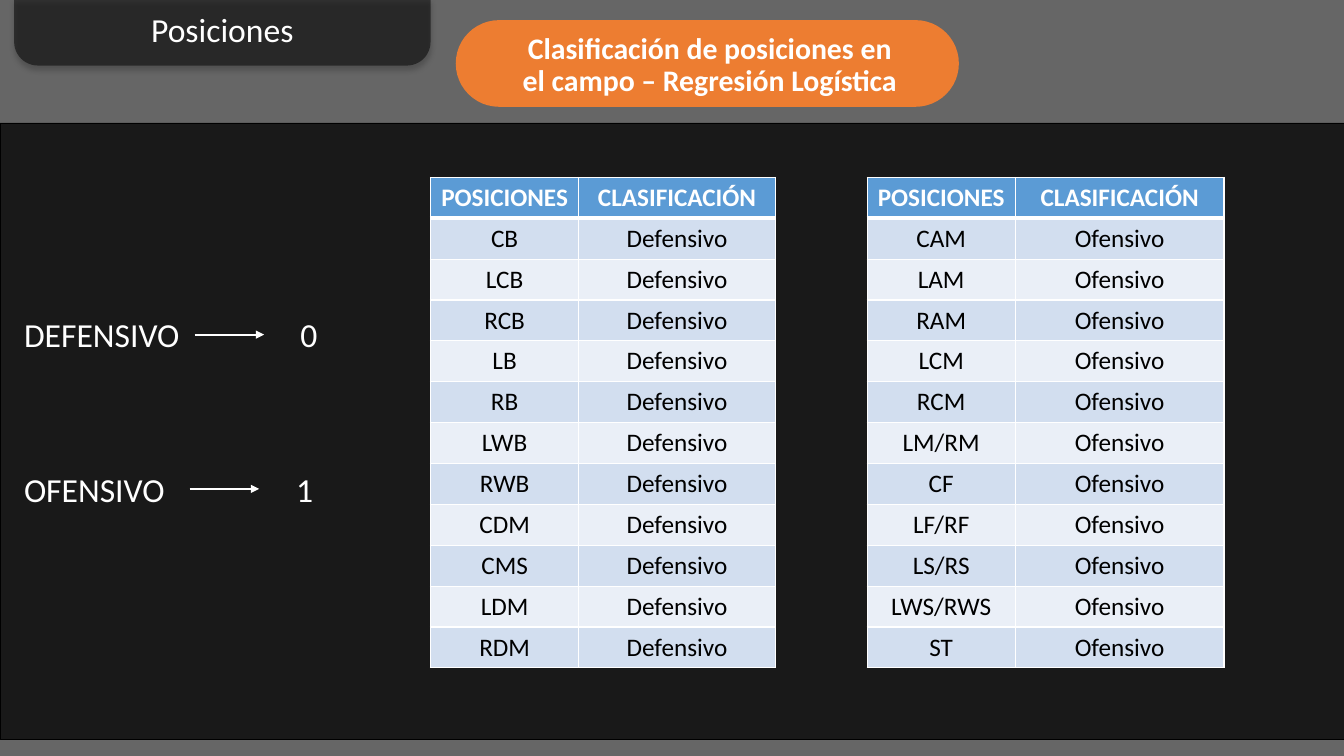
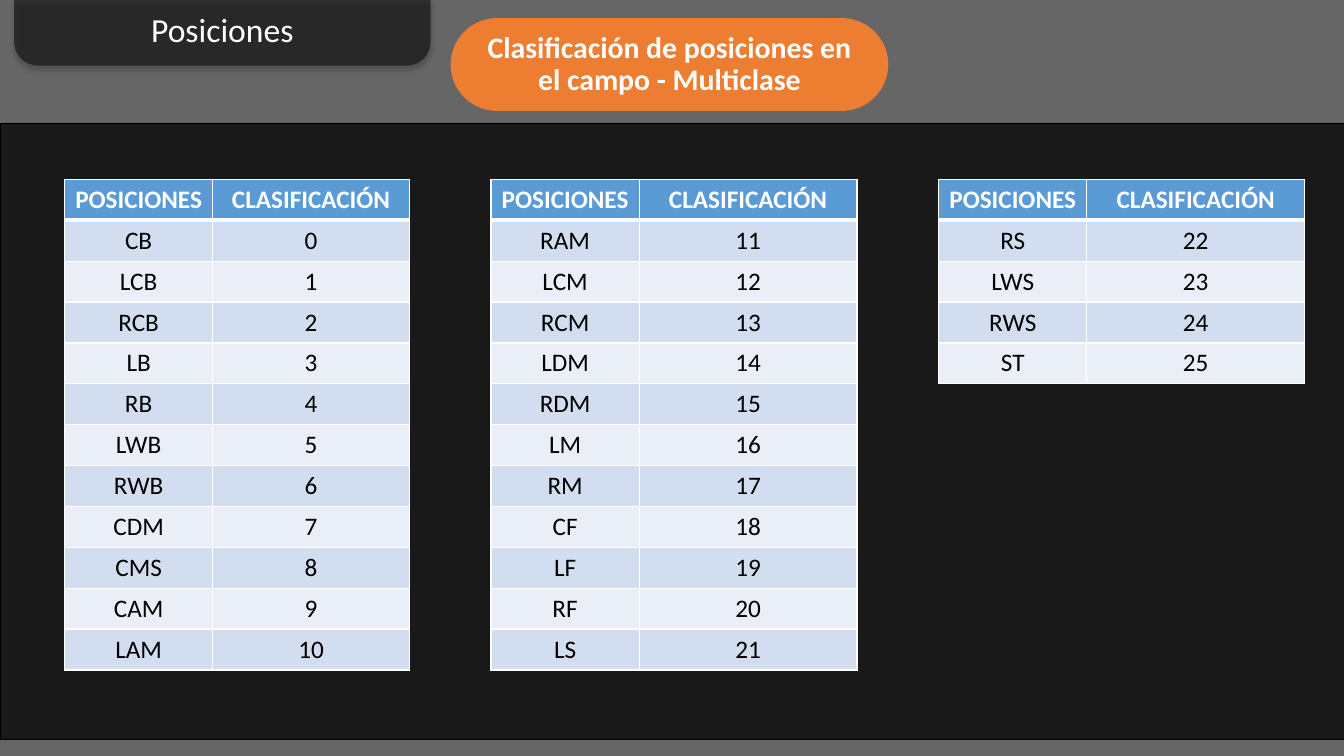
from dataclasses import dataclass

from lxml.etree import SubElement
from pptx import Presentation
from pptx.dml.color import RGBColor
from pptx.enum.shapes import MSO_CONNECTOR, MSO_SHAPE
from pptx.enum.text import MSO_ANCHOR, MSO_AUTO_SIZE, PP_ALIGN
from pptx.oxml.ns import qn
from pptx.util import Inches, Pt

FONT = "Calibri"
WHITE, BLACK, ORANGE = "FFFFFF", "000000", "ED7D31"
HEADER_FILL, BAND_FILLS = "5B9BD5", ("D2DEEF", "EAEFF7")
HEADINGS = ("POSICIONES", "CLASIFICACIÓN")
SLIDE_WIDTH, SLIDE_HEIGHT = 13.33, 7.5
ROW_HEIGHT = 4.87 / 12
POSITION_WIDTH = 1.47


@dataclass(frozen=True)
class Area:
    left: float
    top: float
    width: float
    height: float

    def lengths(self) -> tuple:
        return tuple(Inches(n) for n in (self.left, self.top, self.width, self.height))


@dataclass(frozen=True)
class Heading:
    text: str
    pill: Area
    text_area: Area


@dataclass(frozen=True)
class PositionTable:
    left: float
    class_width: float
    rows: list[tuple[str, str]]


@dataclass(frozen=True)
class Code:
    """A class label, an arrow and the number that stands for the class."""
    label: str
    value: str
    top: float
    label_width: float
    arrow_left: float
    value_left: float


def color(value: str) -> RGBColor:
    return RGBColor.from_string(value)


def write(frame, text: str, *, size: float, fill: str = WHITE, bold: bool = False,
          align: PP_ALIGN = PP_ALIGN.LEFT, spacing: float = 1.0) -> None:
    para = frame.paragraphs[0]
    para.alignment = align
    para.line_spacing = spacing
    span = para.add_run()
    span.text = text
    span.font.name = FONT
    span.font.size = Pt(size)
    span.font.bold = bold
    span.font.color.rgb = color(fill)


def add_text(page, area: Area, text: str, *, wrap: bool = True, **style) -> None:
    frame = page.shapes.add_textbox(*area.lengths()).text_frame
    frame.word_wrap = wrap
    frame.auto_size = MSO_AUTO_SIZE.SHAPE_TO_FIT_TEXT
    write(frame, text, **style)


def add_block(page, kind: MSO_SHAPE, area: Area, fill: str, *, opacity: int = 100,
              line: str | None = None):
    shape = page.shapes.add_shape(kind, *area.lengths())
    shape.shadow.inherit = False
    shape.fill.solid()
    shape.fill.fore_color.rgb = color(fill)
    if opacity < 100:
        tint = shape.element.spPr.find(f"{qn('a:solidFill')}/{qn('a:srgbClr')}")
        SubElement(tint, qn("a:alpha"), val=str(opacity * 1000))
    if line:
        shape.line.color.rgb = color(line)
        shape.line.width = Pt(0.5)
    else:
        shape.line.fill.background()
    return shape


def add_drop_shadow(shape) -> None:
    effects = shape.element.spPr.find(qn("a:effectLst"))
    shadow = SubElement(effects, qn("a:outerShdw"), blurRad=str(Pt(4)), dist=str(Pt(3)),
                        dir="5400000", algn="t", rotWithShape="0")
    tint = SubElement(shadow, qn("a:srgbClr"), val=BLACK)
    SubElement(tint, qn("a:alpha"), val="40000")


def add_arrow(page, left: float, right: float, y: float) -> None:
    arrow = page.shapes.add_connector(
        MSO_CONNECTOR.STRAIGHT, Inches(left), Inches(y), Inches(right), Inches(y))
    arrow.line.color.rgb = color(WHITE)
    arrow.line.width = Pt(1.5)
    SubElement(arrow.line._get_or_add_ln(), qn("a:tailEnd"), type="triangle")
    SubElement(arrow.element.spPr, qn("a:effectLst"))


def set_borders(cell, **widths: float) -> None:
    """Draw white cell borders; each side is 1 point unless a width is given."""
    properties = cell._tc.get_or_add_tcPr()
    for side in ("L", "R", "T", "B"):
        line = SubElement(properties, qn(f"a:ln{side}"), w=str(Pt(widths.get(side, 1))))
        SubElement(SubElement(line, qn("a:solidFill")), qn("a:srgbClr"), val=WHITE)


def add_positions(page, top: float, data: PositionTable) -> None:
    rows = [HEADINGS, *data.rows]
    area = Area(data.left, top, POSITION_WIDTH + data.class_width, ROW_HEIGHT * len(rows))
    table = page.shapes.add_table(len(rows), 2, *area.lengths()).table
    for column, width in zip(table.columns, (POSITION_WIDTH, data.class_width)):
        column.width = Inches(width)
    for index, row in enumerate(rows):
        is_header = index == 0
        table.rows[index].height = Inches(ROW_HEIGHT)
        for cell, text in zip(table.rows[index].cells, row):
            set_borders(cell, T=3 if index == 1 else 1, B=3 if is_header else 1)
            cell.fill.solid()
            cell.fill.fore_color.rgb = color(
                HEADER_FILL if is_header else BAND_FILLS[(index - 1) % 2])
            write(cell.text_frame, text, size=18, fill=WHITE if is_header else BLACK,
                  bold=is_header, align=PP_ALIGN.CENTER)


def add_code(page, code: Code) -> None:
    add_text(page, Area(0.14, code.top, code.label_width, 0.5), code.label, size=24)
    add_arrow(page, code.arrow_left, code.arrow_left + 0.69, code.top + 0.25)
    add_text(page, Area(code.value_left, code.top, 0.37, 0.5), code.value, wrap=False, size=24)


def add_page(deck, heading: Heading):
    """Add a slide with the dark panel, the section tab and the heading pill."""
    page = deck.slides.add_slide(deck.slide_layouts[6])
    add_block(page, MSO_SHAPE.RECTANGLE, Area(0, 0, SLIDE_WIDTH, SLIDE_HEIGHT), BLACK, opacity=60)
    add_block(page, MSO_SHAPE.RECTANGLE, Area(0, 1.22, SLIDE_WIDTH, 6.12), BLACK,
              opacity=75, line=BLACK)
    tab = add_block(page, MSO_SHAPE.ROUND_2_SAME_RECTANGLE, Area(0.14, -0.02, 4.13, 0.67),
                    BLACK, opacity=50)
    tab.rotation = 180
    tab.adjustments[0] = 0.35
    add_drop_shadow(tab)
    add_text(page, Area(0.14, 0.04, 4.13, 0.5), "Posiciones", size=24, align=PP_ALIGN.CENTER)

    pill = add_block(page, MSO_SHAPE.ROUNDED_RECTANGLE, heading.pill, ORANGE)
    pill.adjustments[0] = 0.5
    frame = page.shapes.add_textbox(*heading.text_area.lengths()).text_frame
    frame.word_wrap = True
    frame.vertical_anchor = MSO_ANCHOR.MIDDLE
    frame.margin_left = frame.margin_right = frame.margin_top = frame.margin_bottom = 0
    write(frame, heading.text, size=21.3, bold=True, align=PP_ALIGN.CENTER, spacing=0.9)
    return page


def same_class(positions: str, label: str) -> list[tuple[str, str]]:
    return [(position, label) for position in positions.split()]


def numbered(positions: str, start: int) -> list[tuple[str, str]]:
    return [(position, str(number)) for number, position in enumerate(positions.split(), start)]


def add_logistic_page(deck) -> None:
    page = add_page(deck, Heading("Clasificación de posiciones en el campo – Regresión Logística",
                                  Area(4.52, 0.2, 4.99, 0.86), Area(5.1, 0.38, 3.88, 0.54)))
    for data in (
        PositionTable(4.27, 1.95, same_class("CB LCB RCB LB RB LWB RWB CDM CMS LDM RDM",
                                             "Defensivo")),
        PositionTable(8.6, 2.07, same_class("CAM LAM RAM LCM RCM LM/RM CF LF/RF LS/RS LWS/RWS ST",
                                            "Ofensivo")),
    ):
        add_positions(page, 1.76, data)
    for code in (Code("DEFENSIVO", "0", 3.07, 1.92, 1.93, 2.88),
                 Code("OFENSIVO", "1", 4.6, 1.66, 1.88, 2.84)):
        add_code(page, code)


def add_multiclass_page(deck) -> None:
    page = add_page(deck, Heading("Clasificación de posiciones en el campo - Multiclase",
                                  Area(4.47, 0.18, 4.34, 0.92), Area(4.82, 0.33, 3.64, 0.63)))
    for data in (
        PositionTable(0.64, 1.95, numbered("CB LCB RCB LB RB LWB RWB CDM CMS CAM LAM", 0)),
        PositionTable(4.87, 2.16, numbered("RAM LCM RCM LDM RDM LM RM CF LF RF LS", 11)),
        PositionTable(9.31, 2.16, numbered("RS LWS RWS ST", 22)),
    ):
        add_positions(page, 1.78, data)


def main() -> None:
    deck = Presentation()
    deck.slide_width = Inches(SLIDE_WIDTH)
    deck.slide_height = Inches(SLIDE_HEIGHT)
    add_logistic_page(deck)
    add_multiclass_page(deck)
    deck.save("out.pptx")


if __name__ == "__main__":
    main()
